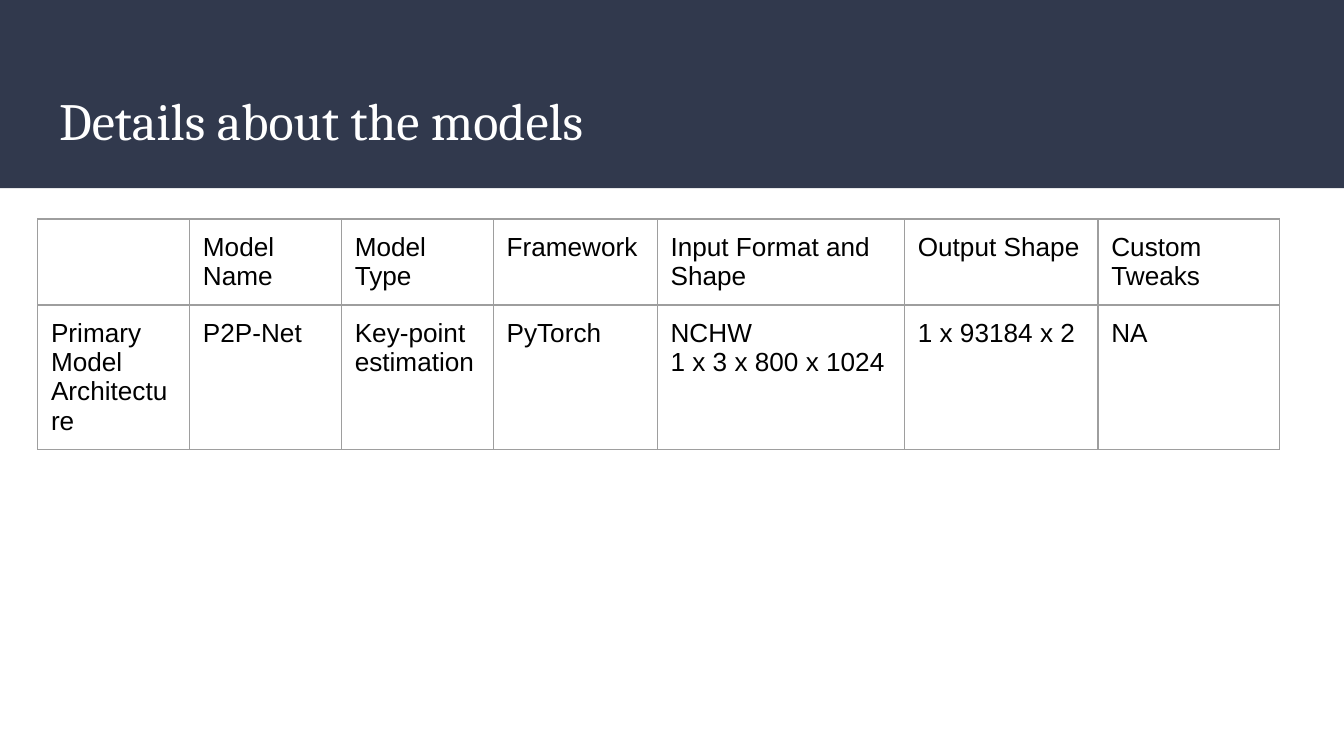
from dataclasses import dataclass
from itertools import product

from lxml.etree import SubElement
from pptx import Presentation
from pptx.dml.color import RGBColor as Color
from pptx.enum.shapes import MSO_SHAPE as Shape
from pptx.enum.text import MSO_ANCHOR as Anchor, PP_ALIGN as Align
from pptx.oxml.ns import qn
from pptx.util import Inches, Pt


@dataclass(frozen=True)
class Theme:
    navy: str = "31394D"
    white: str = "FFFFFF"
    black: str = "000000"
    grey: str = "9E9E9E"
    serif: str = "Cambria"
    sans: str = "Arial"
    head: int = 28
    body: int = 14
    rule: float = 0.75
    pad: float = 0.1


THEME = Theme()
COLS = [1.13, 1.13, 1.13, 1.22, 1.84, 1.44, 1.35]
ROWS = [0.64, 1.07]
MODELS = [
    ["", "Model Name", "Model Type", "Framework", "Input Format and Shape",
     "Output Shape", "Custom Tweaks"],
    ["Primary Model Architecture", "P2P-Net", "Key-point estimation", "PyTorch",
     "NCHW\n1 x 3 x 800 x 1024", "1 x 93184 x 2", "NA"],
]


def write(frame, text, face, size, color):
    for i, line in enumerate(text.split("\n")):
        para = frame.add_paragraph() if i else frame.paragraphs[0]
        para.alignment = Align.LEFT
        para.font.size = Pt(size)
        if line:
            run = para.add_run()
            run.text = line
            run.font.name = face
            run.font.size = Pt(size)
            run.font.color.rgb = Color.from_string(color)


def pad(box):
    box.margin_left = box.margin_right = Inches(THEME.pad)
    box.margin_top = box.margin_bottom = Inches(THEME.pad)


def add_title(slide, text):
    title = slide.shapes.title
    title.left, title.top = Inches(0.34), Inches(0.55)
    title.width, title.height = Inches(9.32), Inches(0.68)
    frame = title.text_frame
    frame.word_wrap = True
    frame.vertical_anchor = Anchor.MIDDLE
    pad(frame)
    write(frame, text, THEME.serif, THEME.head, THEME.white)


def add_banner(slide, width):
    banner = slide.shapes.add_shape(Shape.RECTANGLE, 0, 0, width, Inches(1.4))
    banner.shadow.inherit = False
    banner.fill.solid()
    banner.fill.fore_color.rgb = Color.from_string(THEME.navy)
    banner.line.fill.background()
    slide.shapes.title.element.addprevious(banner.element)


def add_border(cell):
    props = cell._tc.get_or_add_tcPr()
    for i, side in enumerate(("lnL", "lnR", "lnT", "lnB")):
        line = props.makeelement(qn(f"a:{side}"), {"w": str(Pt(THEME.rule))})
        fill = SubElement(line, qn("a:solidFill"))
        SubElement(fill, qn("a:srgbClr"), val=THEME.grey)
        props.insert(i, line)


def add_grid(slide, data):
    grid = slide.shapes.add_table(
        len(ROWS), len(COLS), Inches(0.28), Inches(1.63),
        Inches(sum(COLS)), Inches(sum(ROWS))).table
    grid.first_row = grid.horz_banding = False
    for col, width in zip(grid.columns, COLS):
        col.width = Inches(width)
    for row, height in zip(grid.rows, ROWS):
        row.height = Inches(height)
    for r, c in product(range(len(ROWS)), range(len(COLS))):
        cell = grid.cell(r, c)
        cell.fill.background()
        cell.vertical_anchor = Anchor.TOP
        pad(cell)
        add_border(cell)
        write(cell.text_frame, data[r][c], THEME.sans, THEME.body, THEME.black)


def main():
    deck = Presentation()
    deck.slide_width = Inches(10)
    deck.slide_height = deck.slide_width * 9 // 16
    slide = deck.slides.add_slide(deck.slide_layouts[5])
    add_title(slide, "Details about the models")
    add_banner(slide, deck.slide_width)
    add_grid(slide, MODELS)
    deck.save("out.pptx")


if __name__ == "__main__":
    main()
